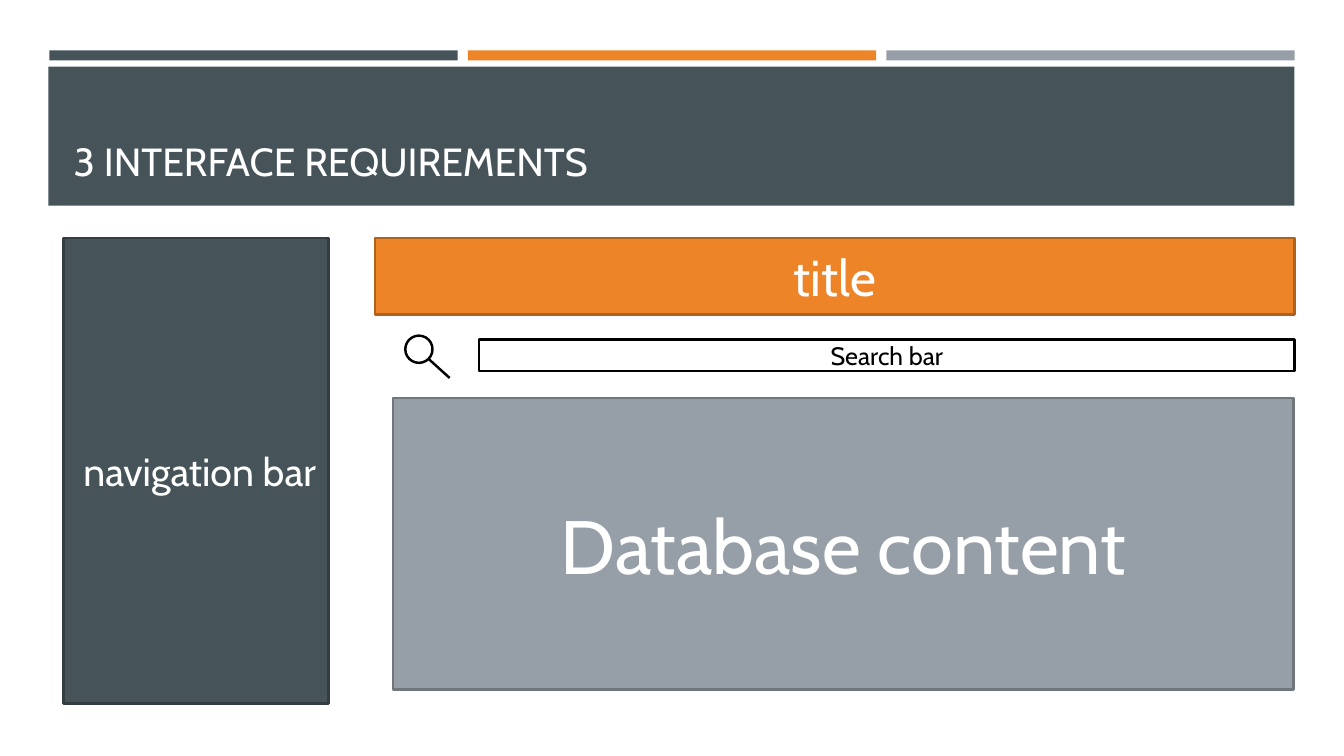
import pptx
import pptx.util
import pptx.dml.color
import pptx.enum.shapes
import pptx.enum.text
import pptx.oxml.ns
import lxml.etree

Inches = pptx.util.Inches
Pt = pptx.util.Pt
RGBColor = pptx.dml.color.RGBColor
SHAPE = pptx.enum.shapes.MSO_SHAPE
ALIGN = pptx.enum.text.PP_ALIGN
ANCHOR = pptx.enum.text.MSO_ANCHOR

SLATE = RGBColor(0x46, 0x53, 0x59)
SLATE_EDGE = RGBColor(0x34, 0x3D, 0x42)
ORANGE = RGBColor(0xED, 0x84, 0x28)
ORANGE_EDGE = RGBColor(0xAF, 0x62, 0x1E)
GRAY = RGBColor(0x96, 0x9F, 0xA7)
GRAY_EDGE = RGBColor(0x6F, 0x76, 0x7C)
WHITE = RGBColor(0xFF, 0xFF, 0xFF)
BLACK = RGBColor(0, 0, 0)


class SlideBuilder:
    font = "Cabin"
    line_width = Pt(1.75)

    def __init__(self, slide):
        self.slide = slide

    def set_text(self, sp, text, size, color, align, anchor, **frame):
        tf = sp.text_frame
        frame = {"word_wrap": True, "vertical_anchor": anchor, **frame}
        for name, value in frame.items():
            setattr(tf, name, value)
        p = tf.paragraphs[0]
        p.alignment = align
        r = p.add_run()
        r.text = text
        for name, value in {"name": self.font, "size": Pt(size)}.items():
            setattr(r.font, name, value)
        r.font.color.rgb = color

    def title(self, text, box):
        sp = self.slide.shapes.title
        for name, value in zip(("left", "top", "width", "height"), box):
            setattr(sp, name, Inches(value))
        self.set_text(sp, text, 28, WHITE, ALIGN.LEFT, ANCHOR.BOTTOM)
        sp.element.getparent().append(sp.element)

    def shape(self, box, fill, edge=None, kind=SHAPE.RECTANGLE):
        sp = self.slide.shapes.add_shape(kind, *map(Inches, box))
        sp.shadow.inherit = False
        sp.fill.solid()
        sp.fill.fore_color.rgb = fill
        if edge is None:
            sp.line.fill.background()
        else:
            sp.line.color.rgb = edge
            sp.line.width = self.line_width
        return sp

    def panel(self, box, fill, edge, text, size, color=WHITE, **frame):
        sp = self.shape(box, fill, edge)
        self.set_text(sp, text, size, color, ALIGN.CENTER, ANCHOR.MIDDLE, **frame)

    def line(self, start, end, color):
        cn = self.slide.shapes.add_connector(
            pptx.enum.shapes.MSO_CONNECTOR.STRAIGHT, *map(Inches, start + end))
        cn.line.color.rgb = color
        cn.line.width = self.line_width
        lxml.etree.SubElement(cn.element.spPr, pptx.oxml.ns.qn("a:effectLst"))


prs = pptx.Presentation()
prs.slide_width = Inches(13.33)
prs.slide_height = Inches(7.5)
s = SlideBuilder(prs.slides.add_slide(prs.slide_layouts[5]))

for i, color in enumerate((SLATE, ORANGE, GRAY)):
    s.shape((0.49 + i * 4.15, 0.5, 4.05, 0.1), color)
s.shape((0.48, 0.66, 12.36, 1.38), SLATE)
s.title("3 INTERFACE REQUIREMENTS", (0.63, 0.8, 12.06, 1.08))

s.panel((3.72, 2.36, 9.12, 0.76), ORANGE, ORANGE_EDGE, "title", 36)
s.panel((0.63, 2.36, 2.63, 4.62), SLATE, SLATE_EDGE, "navigation bar", 28,
        margin_left=Inches(0.15), margin_right=Inches(0.08))
s.panel((4.75, 3.37, 8.09, 0.31), WHITE, BLACK, "Search bar", 18, BLACK)
s.shape((4.02, 3.33, 0.27, 0.27), WHITE, BLACK, SHAPE.OVAL)
s.line((4.25, 3.56), (4.46, 3.75), BLACK)
s.panel((3.9, 3.95, 8.93, 2.89), GRAY, GRAY_EDGE, "Database content", 54)

prs.save("out.pptx")
